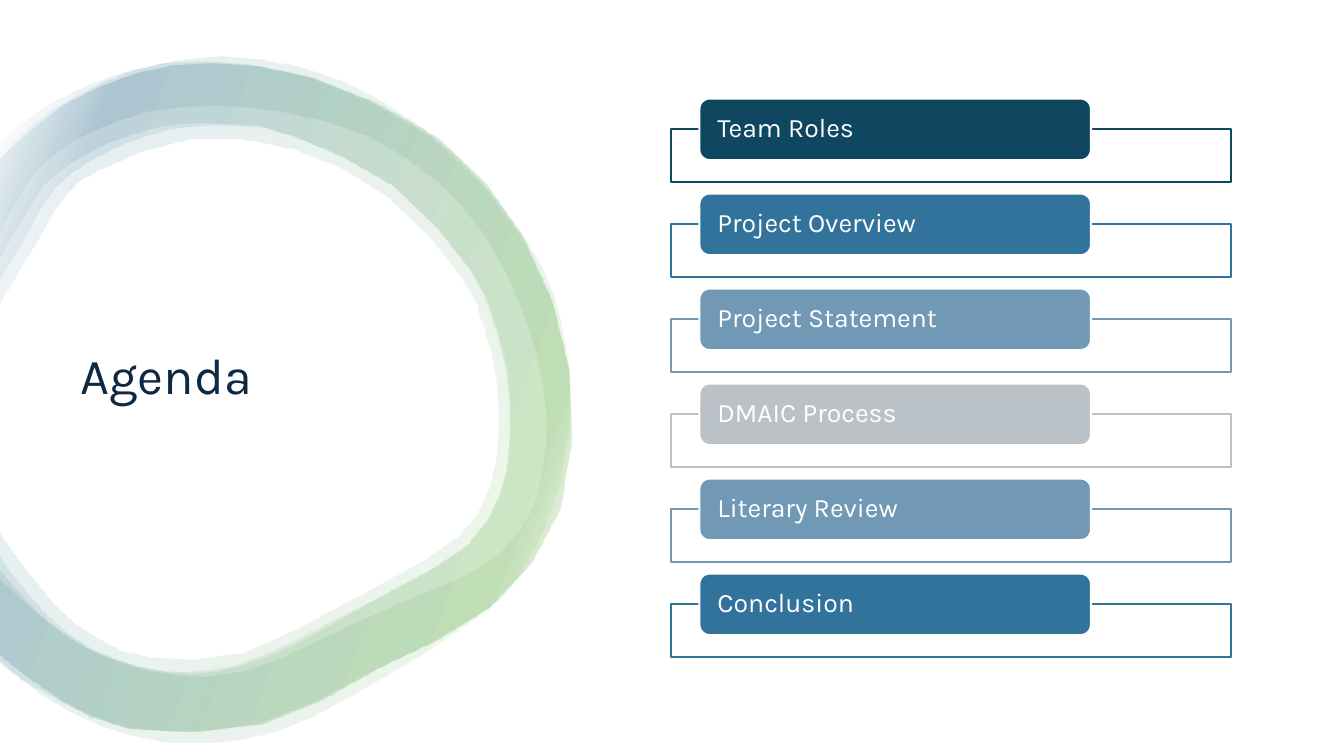
"""Build the agenda slide with a soft gradient ring and six topic tabs."""
from pptx import Presentation
from pptx.dml.color import RGBColor
from pptx.enum.shapes import MSO_SHAPE
from pptx.enum.text import MSO_ANCHOR, PP_ALIGN
from pptx.oxml import parse_xml
from pptx.oxml.ns import nsdecls
from pptx.util import Pt

RECTANGLE = MSO_SHAPE.RECTANGLE
ROUNDED = MSO_SHAPE.ROUNDED_RECTANGLE
MIDDLE = MSO_ANCHOR.MIDDLE
LEFT = PP_ALIGN.LEFT

FONT = "Karla"
COLORS = {
    "white": "FFFFFF", "ink": "0E2841", "green": "4EA72E", "teal": "156082",
    "navy": "104760", "blue": "31739A", "steel": "7198B4", "silver": "BAC1C7",
}
TOPICS = [
    ("Team Roles", "navy"), ("Project Overview", "blue"),
    ("Project Statement", "steel"), ("DMAIC Process", "silver"),
    ("Literary Review", "steel"), ("Conclusion", "blue"),
]
RING_STOPS = [(2, "white"), (16, "green"), (85, "teal"), (100, "white")]
RING_UNIT = 0.72

OUTER_WIDE = [
    (-2, 160), (33, 123), (75, 96), (135, 69), (218, 56), (300, 67), (376, 99),
    (455, 157), (517, 231), (550, 296), (565, 383), (555, 477), (518, 567),
    (470, 614), (392, 665), (308, 712), (243, 733), (171, 737), (103, 721),
    (41, 689), (-2, 653),
]
INNER_WIDE = [
    (-2, 572), (31, 603), (76, 636), (125, 659), (177, 670), (229, 668),
    (282, 651), (362, 613), (447, 577), (496, 548), (528, 502), (540, 444),
    (538, 385), (517, 307), (481, 235), (433, 180), (366, 136), (289, 113),
    (217, 105), (147, 111), (93, 130), (56, 152), (28, 181), (-2, 236),
]
OUTER_HIGH = [
    (-2, 143), (51, 102), (125, 71), (202, 61), (303, 75), (429, 137),
    (518, 237), (564, 365), (556, 504), (485, 602), (373, 663), (254, 718),
    (122, 721), (21, 673), (-2, 653),
]
INNER_HIGH = [
    (-2, 561), (37, 606), (85, 642), (138, 661), (186, 666), (235, 659),
    (288, 637), (342, 609), (388, 585), (462, 541), (496, 488), (505, 430),
    (502, 373), (488, 318), (465, 267), (389, 184), (287, 134), (231, 123),
    (178, 123), (130, 134), (82, 155), (45, 183), (20, 223), (-2, 261),
]
OUTER_LOW = [
    (-2, 163), (4, 154), (62, 105), (134, 73), (211, 63), (310, 77), (435, 137),
    (520, 237), (564, 365), (556, 504), (487, 602), (376, 663), (259, 719),
    (129, 723), (60, 694), (4, 653), (-2, 646),
]
INNER_SMALL = [
    (-2, 523), (4, 534), (55, 600), (99, 634), (148, 652), (241, 648),
    (339, 600), (386, 575), (455, 532), (485, 485), (494, 430), (492, 375),
    (479, 323), (457, 274), (384, 195), (291, 148), (189, 138), (99, 169),
    (66, 194), (42, 232), (2, 299), (-2, 306),
]
INNER_LOW = [
    (-2, 547), (10, 566), (46, 609), (92, 644), (145, 663), (193, 668),
    (241, 660), (293, 639), (345, 610), (391, 585), (463, 542), (497, 488),
    (506, 430), (504, 373), (490, 318), (467, 268), (392, 186), (294, 136),
    (239, 125), (187, 126), (140, 137), (93, 158), (56, 186), (31, 226),
    (0, 279), (-2, 283),
]
RING_LAYERS = [
    (OUTER_WIDE, INNER_WIDE), (OUTER_HIGH, INNER_HIGH),
    (OUTER_LOW, INNER_SMALL), (OUTER_LOW, INNER_LOW),
]


def rgb(name):
    """Return the named colour."""
    return RGBColor.from_string(COLORS[name])


def smooth(points):
    """Add a Catmull-Rom midpoint between each pair of neighbouring points."""
    padded = [points[0], *points, points[-1]]
    curve = []
    for before, start, end, after in zip(padded, padded[1:], padded[2:], padded[3:]):
        middle = tuple((9 * (b + c) - a - d) / 16
                       for a, b, c, d in zip(before, start, end, after))
        curve += [start, middle]
    return curve + [points[-1]]


def write_text(shape, text, size, color, inset_x=7.2, inset_y=3.6):
    """Write one left-aligned, vertically centred paragraph into a shape."""
    frame = shape.text_frame
    frame.word_wrap = True
    frame.vertical_anchor = MIDDLE
    frame.margin_left = frame.margin_right = Pt(inset_x)
    frame.margin_top = frame.margin_bottom = Pt(inset_y)
    paragraph = frame.paragraphs[0]
    paragraph.alignment = LEFT
    paragraph.line_spacing = 0.9
    run = paragraph.add_run()
    run.text = text
    run.font.name = FONT
    run.font.size = Pt(size)
    run.font.color.rgb = rgb(color)


def add_box(slide, kind, left, top, width, height, fill, line):
    """Add a filled and outlined preset shape."""
    shape = slide.shapes.add_shape(kind, Pt(left), Pt(top), Pt(width), Pt(height))
    shape.shadow.inherit = False
    shape.fill.solid()
    shape.fill.fore_color.rgb = rgb(fill)
    shape.line.color.rgb = rgb(line)
    shape.line.width = Pt(1.5)
    return shape


def fill_ring(shape):
    """Give a ring layer its transparent gradient."""
    stops = "".join(
        f'<a:gs pos="{position * 1000}"><a:srgbClr val="{COLORS[name]}">'
        '<a:alpha val="10000"/></a:srgbClr></a:gs>'
        for position, name in RING_STOPS)
    gradient = parse_xml(
        f'<a:gradFill {nsdecls("a")} rotWithShape="1"><a:gsLst>{stops}</a:gsLst>'
        '<a:lin ang="12000000" scaled="0"/></a:gradFill>')
    shape.fill.background()
    properties = shape.element.spPr
    properties.replace(properties.find("{*}noFill"), gradient)


def add_ring(slide, left, top):
    """Draw the overlapping ring layers from the given corner."""
    for outer, inner in RING_LAYERS:
        outline = smooth(outer) + smooth(inner)
        builder = slide.shapes.build_freeform(*outline[0], scale=Pt(RING_UNIT))
        builder.add_line_segments(outline[1:], close=True)
        shape = builder.convert_to_shape(Pt(left), Pt(top))
        shape.shadow.inherit = False
        fill_ring(shape)
        shape.line.fill.background()


def add_title(slide, left, top, width, height):
    """Place the slide title in the given box."""
    title = slide.shapes.title
    title.left, title.top = Pt(left), Pt(top)
    title.width, title.height = Pt(width), Pt(height)
    write_text(title, "Agenda", size=36, color="ink")


def add_topics(slide, left, top, width, height):
    """Stack the topic tabs and their frames evenly in the given box."""
    tab_height, frame_height = 44, 37.8
    row_height = tab_height / 2 + frame_height
    pitch = (height - row_height) / (len(TOPICS) - 1)
    for index, (topic, color) in enumerate(TOPICS):
        row_top = top + index * pitch
        add_box(slide, RECTANGLE, left, row_top + tab_height / 2, width,
                frame_height, "white", color)
        tab = add_box(slide, ROUNDED, left + width * 0.05, row_top, width * 0.7,
                      tab_height, color, "white")
        write_text(tab, topic, size=19, color="white", inset_x=10.8, inset_y=0)


def main():
    """Assemble and save the presentation."""
    presentation = Presentation()
    presentation.slide_width, presentation.slide_height = Pt(960), Pt(540)
    slide = presentation.slides.add_slide(presentation.slide_layouts[5])
    slide.background.fill.solid()
    slide.background.fill.fore_color.rgb = rgb("white")
    add_ring(slide, 0, 0)
    add_title(slide, 50.4, 98, 304, 344)
    add_topics(slide, 479.6, 70.4, 399.6, 399.1)
    presentation.save("out.pptx")


if __name__ == "__main__":
    main()
